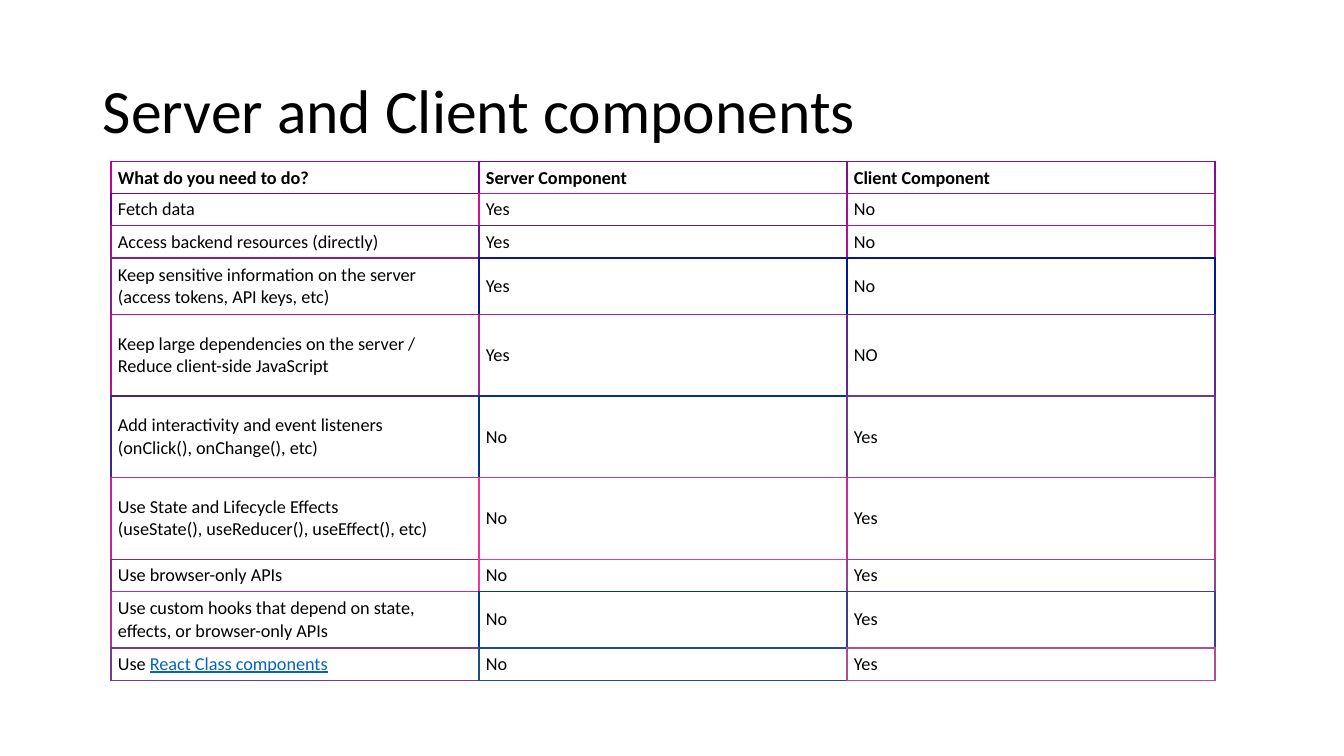
from lxml import etree
from pptx import Presentation, util as u
from pptx.dml.color import RGBColor
from pptx.enum import text
from pptx.oxml import ns

PX = 9144  # EMU per px, 100 px to the inch
FONT = "Calibri"
COLOURS = {"text": "000000", "link": "0563C1"}
NBSP = chr(160)

# Each row: height, first-column runs, server answer, client answer
ROWS = [
    (32, ["What do you need to do?"], "Server Component", "Client Component"),
    (32, ["Fetch data"], "Yes", "No"),
    (32, ["Access backend resources (directly)"], "Yes", "No"),
    (56, ["Keep sensitive information on the server (access tokens, API keys, etc)"], "Yes", "No"),
    (81, ["Keep large dependencies on the server / Reduce client-side JavaScript"], "Yes", "NO"),
    (81, [f"Add interactivity and event listeners (onClick(),{NBSP}onChange(), etc)"], "No", "Yes"),
    (81, ["Use State and Lifecycle Effects "
          f"(useState(),{NBSP}useReducer(),{NBSP}useEffect(), etc)"], "No", "Yes"),
    (32, ["Use browser-only APIs"], "No", "Yes"),
    (56, ["Use custom hooks that depend on state, effects, or browser-only APIs"], "No", "Yes"),
    (32, [f"Use{NBSP}", "React Class components"], "No", "Yes"),
]

# Each cell owns its left and top edge; the neighbour owns the other two
EDGES = [
    ("C00591", "800091", "801291"),
    ("700491", "D01091", "A01391"),
    ("A01391", "601A91", "B01591"),
    ("802191", "101691", "001A91"),
    ("B01591", "A02891", "602991"),
    ("402591", "003291", "703791"),
    ("C02991", "F03291", "C03291"),
    ("802A91", "F03B91", "904491"),
    ("B03391", "003B91", "403D91"),
    ("703D91", "204B91", "B04E91"),
]


def assign(target, values):
    for name, value in values.items():
        setattr(target, name, value)


class SlideBuilder:
    def __init__(self, presentation):
        self.slide = presentation.slides.add_slide(presentation.slide_layouts[5])

    def box(self, left, top, width, height):
        sides = ("left", "top", "width", "height")
        return dict(zip(sides, (u.Emu(n * PX) for n in (left, top, width, height))))

    def run(self, paragraph, words, size, colour="text", **extra):
        run = paragraph.add_run()
        run.text = words
        assign(run.font, {"name": FONT, "size": u.Pt(size), "bold": False, **extra})
        run.font.color.rgb = RGBColor.from_string(COLOURS[colour])

    def title(self, words, *place):
        shape = self.slide.shapes.title
        assign(shape, self.box(*place))
        assign(shape.text_frame, {"word_wrap": True, "auto_size": text.MSO_AUTO_SIZE.NONE,
                                  "vertical_anchor": text.MSO_ANCHOR.MIDDLE})
        paragraph = shape.text_frame.paragraphs[0]
        assign(paragraph, {"alignment": text.PP_ALIGN.LEFT, "line_spacing": 0.9})
        self.run(paragraph, words, 44)

    def borders(self, cell, colours):
        properties = cell._tc.get_or_add_tcPr()
        for position, (side, colour) in enumerate(colours.items()):
            line = etree.Element(ns.qn(f"a:{side}"), w=str(u.Pt(1)))
            fill = etree.SubElement(line, ns.qn("a:solidFill"))
            etree.SubElement(fill, ns.qn("a:srgbClr"), val=colour)
            properties.insert(position, line)

    def cell(self, cell, runs, header):
        anchor = text.MSO_ANCHOR.BOTTOM if header else text.MSO_ANCHOR.MIDDLE
        across, down = u.Emu(7 * PX), u.Emu(4 * PX)
        assign(cell, {"vertical_anchor": anchor, "margin_left": across, "margin_right": across,
                      "margin_top": down, "margin_bottom": down})
        cell.fill.background()
        paragraph = cell.text_frame.paragraphs[0]
        self.run(paragraph, runs[0], 13, bold=header)
        for link in runs[1:]:
            self.run(paragraph, link, 13, "link", underline=True)

    def table(self, rows, edges, left, top, column_width):
        height = sum(row[0] for row in rows)
        place = self.box(left, top, 3 * column_width, height)
        table = self.slide.shapes.add_table(len(rows), 3, **place).table
        assign(table, {"first_row": False, "horz_banding": False})
        for column in table.columns:
            column.width = u.Emu(column_width * PX)
        last = len(rows) - 1
        for r, (row_height, task, server, client) in enumerate(rows):
            table.rows[r].height = u.Emu(row_height * PX)
            for c, runs in enumerate((task, [server], [client])):
                cell = table.cell(r, c)
                self.cell(cell, runs, header=r == 0)
                own = edges[r][c]
                self.borders(cell, {"lnL": own, "lnR": edges[r][min(c + 1, 2)],
                                    "lnT": own, "lnB": edges[min(r + 1, last)][c]})


def main():
    presentation = Presentation()
    assign(presentation, {"slide_width": u.Inches(13.33), "slide_height": u.Inches(7.5)})
    builder = SlideBuilder(presentation)

    # Title
    builder.title("Server and Client components", 92, 40, 1150, 145)

    # Comparison table
    builder.table(ROWS, EDGES, 110, 160, 365)

    presentation.save("out.pptx")


if __name__ == "__main__":
    main()
